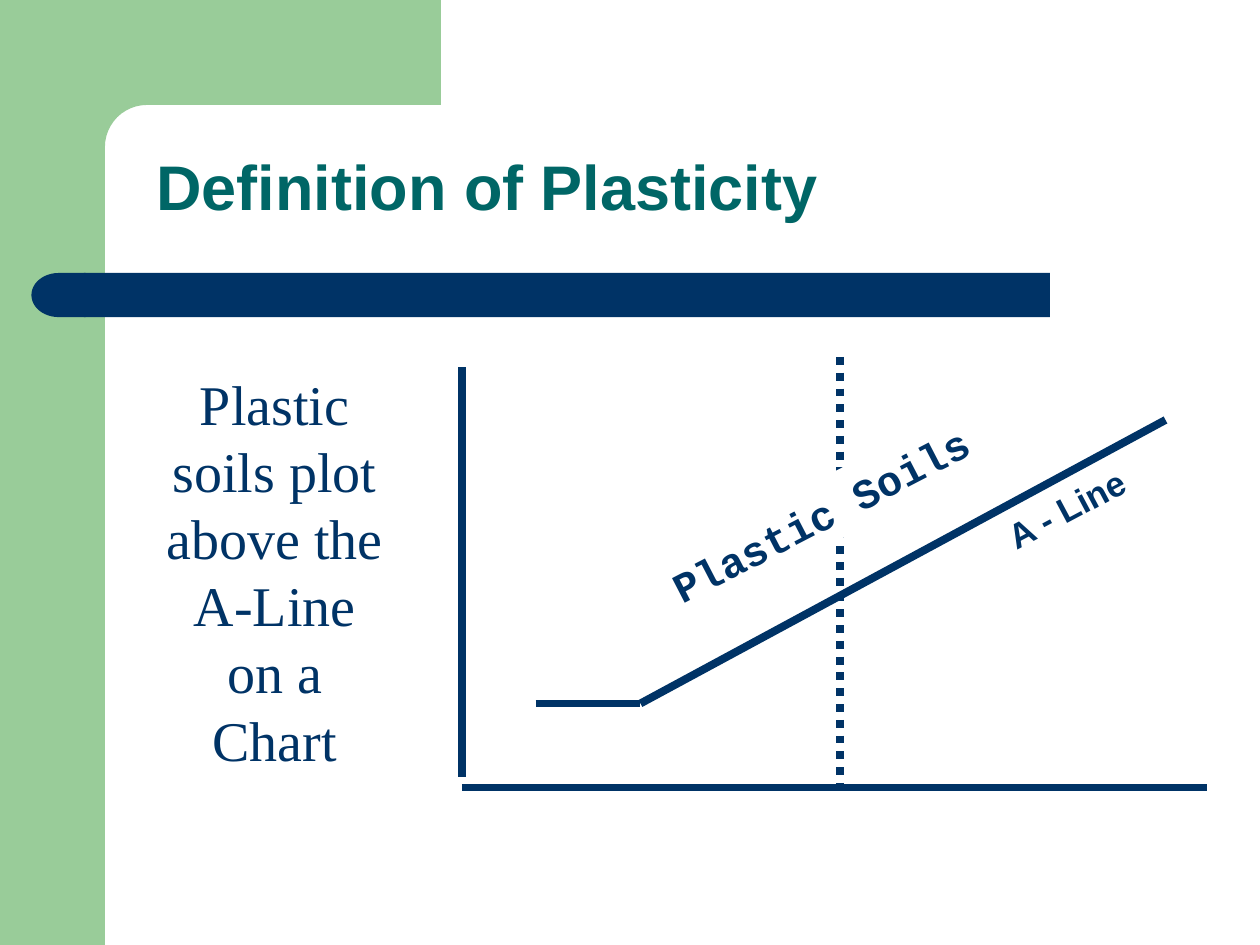
from dataclasses import dataclass
from math import cos, pi, sin

from pptx import Presentation
from pptx.dml.color import RGBColor
from pptx.enum.dml import MSO_LINE
from pptx.enum.shapes import MSO_CONNECTOR, MSO_SHAPE
from pptx.enum.text import MSO_ANCHOR, MSO_AUTO_SIZE, PP_ALIGN
from pptx.oxml.ns import qn
from pptx.util import Inches, Pt

RECT, CAP = MSO_SHAPE.RECTANGLE, MSO_SHAPE.FLOWCHART_DELAY
LINE, DOTS = MSO_CONNECTOR.STRAIGHT, MSO_LINE.ROUND_DOT
LEFT, MID = PP_ALIGN.LEFT, PP_ALIGN.CENTER
TOP, CENTER = MSO_ANCHOR.TOP, MSO_ANCHOR.MIDDLE
GROW, FIXED = MSO_AUTO_SIZE.SHAPE_TO_FIT_TEXT, MSO_AUTO_SIZE.NONE
COLS, ROWS = 120, 90


@dataclass
class Theme:
    green: RGBColor = RGBColor(0x99, 0xCC, 0x99)
    navy: RGBColor = RGBColor(0x00, 0x33, 0x66)
    teal: RGBColor = RGBColor(0x00, 0x66, 0x66)
    white: RGBColor = RGBColor(0xFF, 0xFF, 0xFF)
    sans: str = "Arial"
    serif: str = "Times New Roman"
    mono: str = "Courier New"
    head: Pt = Pt(36)
    body: Pt = Pt(32)
    label: Pt = Pt(24)
    note: Pt = Pt(20)
    lead: Pt = Pt(38.4)
    stroke: Pt = Pt(4.5)


def apply(item, values):
    for name, value in values.items():
        setattr(item, name, value)


class Deck:
    def __init__(self, theme):
        self.theme = theme
        self.prs = Presentation()
        self.prs.slide_width, self.prs.slide_height = Inches(10), Inches(7.5)
        self.slide = self.prs.slides.add_slide(self.prs.slide_layouts[1])
        self.shapes = self.slide.shapes

    def x(self, col):
        return round(self.prs.slide_width * col / COLS)

    def y(self, row):
        return round(self.prs.slide_height * row / ROWS)

    def box(self, at):
        col, row, wide, high = at
        return self.x(col), self.y(row), self.x(wide), self.y(high)

    def paint(self, shape, color):
        shape.shadow.inherit = False
        shape.fill.solid()
        shape.fill.fore_color.rgb = color
        shape.line.fill.background()

    def block(self, kind, at, color):
        shape = self.shapes.add_shape(kind, *self.box(at))
        self.paint(shape, color)
        return shape

    def shade(self, points, color):
        spots = [(self.x(col), self.y(row)) for col, row in points]
        form = self.shapes.build_freeform(*spots[0])
        form.add_line_segments(spots[1:], close=True)
        self.paint(form.convert_to_shape(), color)

    def rule(self, start, end, dash=None):
        line = self.shapes.add_connector(
            LINE, self.x(start[0]), self.y(start[1]), self.x(end[0]), self.y(end[1]))
        line.line.color.rgb = self.theme.navy
        apply(line.line, {"width": self.theme.stroke, "dash_style": dash})
        props = line._element.spPr
        props.append(props.makeelement(qn("a:effectLst"), {}))

    def place(self, holder, at):
        left, top, wide, high = self.box(at)
        apply(holder, {"left": left, "top": top, "width": wide, "height": high})
        return holder

    def plain(self, holder):
        props = holder.text_frame.paragraphs[0]._p.get_or_add_pPr()
        for name in ("marL", "indent"):
            props.set(name, "0")
        props.append(props.makeelement(qn("a:buNone"), {}))

    def fill(self, shape, text, color, font, frame, para):
        apply(shape.text_frame, frame)
        first = shape.text_frame.paragraphs[0]
        apply(first, {"space_before": Pt(0), **para})
        run = first.add_run()
        run.text = text
        apply(run.font, font)
        run.font.color.rgb = color

    def title(self, text, at):
        t = self.theme
        self.fill(self.place(self.shapes.title, at), text, t.teal,
                  {"name": t.sans, "size": t.head, "bold": True},
                  {"vertical_anchor": CENTER, "word_wrap": True, "auto_size": FIXED},
                  {"alignment": LEFT, "line_spacing": 0.9})

    def body(self, text, at):
        t = self.theme
        holder = self.place(self.slide.placeholders[1], at)
        self.plain(holder)
        self.fill(holder, text, t.navy, {"name": t.serif, "size": t.body},
                  {"vertical_anchor": CENTER, "word_wrap": True, "auto_size": GROW},
                  {"alignment": MID, "line_spacing": t.lead})

    def label(self, text, at, turn):
        t = self.theme
        shape = self.block(RECT, at, t.white)
        shape.rotation = turn
        self.fill(shape, text, t.navy,
                  {"name": t.mono, "size": t.label, "bold": True},
                  {"vertical_anchor": CENTER, "word_wrap": False, "auto_size": GROW},
                  {"alignment": MID})

    def note(self, text, at, turn):
        t = self.theme
        shape = self.shapes.add_textbox(*self.box(at))
        shape.rotation = turn
        self.fill(shape, text, t.navy,
                  {"name": t.sans, "size": t.note, "bold": True},
                  {"vertical_anchor": TOP, "word_wrap": True, "auto_size": GROW},
                  {"alignment": LEFT})


def main():
    theme = Theme()
    deck = Deck(theme)

    # Green frame with a rounded inner corner
    deck.block(RECT, (0, 0, 10, ROWS), theme.green)
    steps = 12
    angles = [pi / 2 * n / steps for n in range(steps + 1)]
    curve = [(14 - 4 * sin(a), 14 - 4 * cos(a)) for a in angles]
    deck.shade([(6, 0), (42, 0), (42, 10), *curve, (10, 15.4), (6, 15.4)], theme.green)

    # Navy bar with a round left end
    deck.block(RECT, (8, 26, 92, 4.2), theme.navy)
    cap = deck.block(CAP, (3, 26, 5.16, 4.2), theme.navy)
    cap._element.spPr.xfrm.set("flipH", "1")

    # Title and text
    deck.title("Definition of Plasticity", (13.7, 10.9, 102.1, 14.5))
    deck.body("Plastic soils plot above the A-Line on a Chart", (14.64, 34.56, 23.04, 39.6))

    # Axes, A-line and dotted limit
    deck.rule((44, 35), (44, 74))
    deck.rule((44, 75), (115, 75))
    deck.rule((51, 67), (61, 67))
    deck.rule((61, 67), (111, 40))
    deck.rule((80, 34), (80, 75), DOTS)

    # Labels along the A-line
    deck.label("Plastic Soils", (61.3, 46, 33.6, 6), 332.6)
    deck.note("A - Line", (94.1, 45, 18, 5.2), 332)

    deck.prs.save("out.pptx")


if __name__ == "__main__":
    main()
